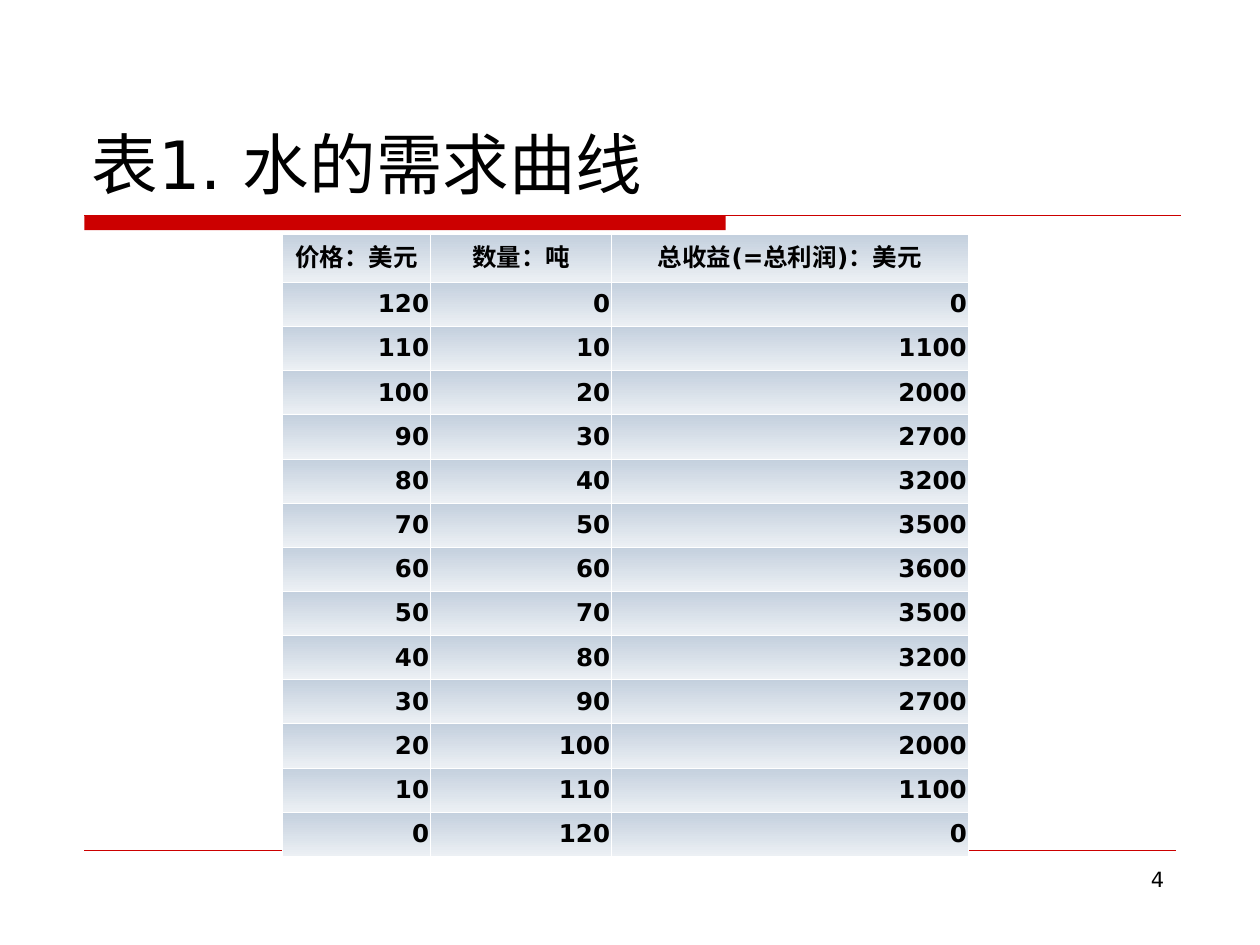
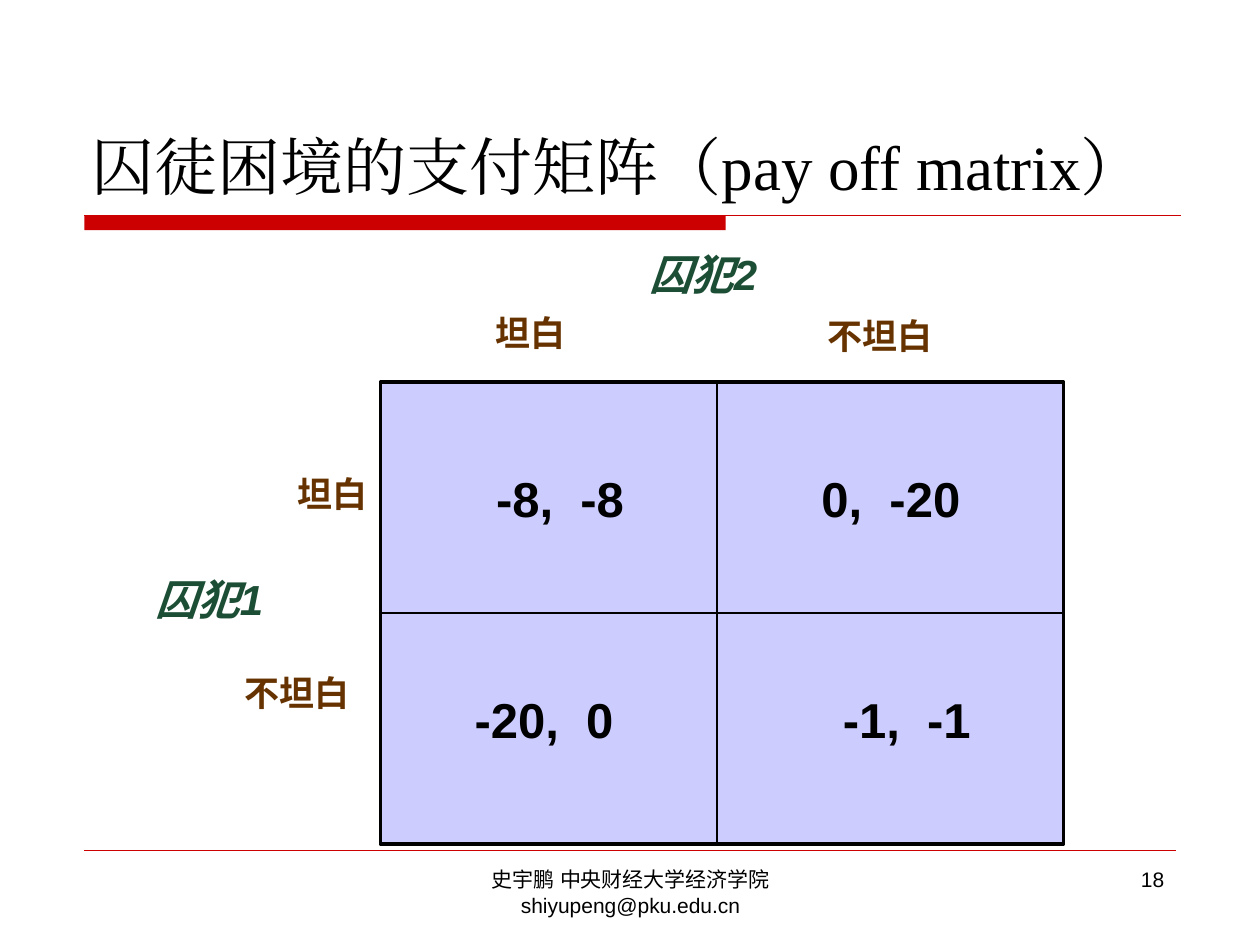
from lxml.etree import SubElement
from pptx import Presentation
from pptx.dml.color import RGBColor
from pptx.enum.shapes import MSO_CONNECTOR as Connector, MSO_SHAPE as Shape
from pptx.enum.text import MSO_ANCHOR as Anchor, PP_ALIGN as Align
from pptx.oxml import parse_xml
from pptx.oxml.ns import nsdecls, qn
from pptx.util import Cm, Pt

# Content
DEMAND = {
    "title": "表1. 水的需求曲线",
    "page": 4,
    "font": "DejaVu Sans",
    "title_size": 38,
    "header": ["价格：美元", "数量：吨", "总收益(=总利润)：美元"],
    "prices": range(120, -1, -10),
    "top_price": 120,
}
PRISONERS = {
    "title": "囚徒困境的支付矩阵（pay off matrix）",
    "page": 18,
    "font": "Times New Roman",
    "title_size": 36,
    "footer": "史宇鹏 中央财经大学经济学院 shiyupeng@pku.edu.cn",
    # text, left, top
    "players": [("囚犯1", 1.47, 11.43), ("囚犯2", 11.43, 4.88)],
    # text, left, top, width
    "choices": [
        ("坦白", 9.73, 6.15, 1.93),
        ("不坦白", 16.43, 6.22, 2.62),
        ("坦白", 5.74, 9.4, 1.93),
        ("不坦白", 4.67, 13.41, 2.62),
    ],
    # payoff of each player, left, top
    "payoffs": [
        (-8, -8, 9.75, 9.32),
        (0, -20, 16.31, 9.32),
        (-20, 0, 9.32, 13.77),
        (-1, -1, 16.74, 13.77),
    ],
}

# Style and layout, lengths in cm
COLORS = {
    "red": "CC0000",
    "black": "000000",
    "white": "FFFFFF",
    "cell_top": "C4D0DE",
    "cell_bottom": "ECF0F4",
    "matrix": "CCCCFF",
    "choice": "663300",
    "player": "1C4E35",
}
TITLE_BOX = (1.6, 0.84, 22.23, 3.38)
FOOTER_BOX = (8.69, 17.35, 8.05, 1.32)
PAGE_BOX = (18.21, 17.35, 5.51, 1.32)
BAR = (1.7, 4.34, 12.93, 0.3)
TABLE_LEFT, TABLE_TOP = 5.7, 4.73
COLUMN_WIDTHS = [2.98, 3.65, 7.19]
HEADER_HEIGHT, ROW_HEIGHT = 0.96, 0.89
MATRIX = (7.67, 7.7, 13.77, 9.32)
MATRIX_SPLIT = 14.45
PAYOFF_GAP = 7.8  # extra points after the space between two payoffs


def color(name):
    return RGBColor.from_string(COLORS[name])


def write(frame, text, *, font="Arial", size=12, ink="black", bold=False,
          italic=False, align=Align.LEFT, anchor=Anchor.TOP, wrap=True):
    """Write a string, or a list of (string, letter spacing) runs."""
    frame.word_wrap = wrap
    frame.vertical_anchor = anchor
    paragraph = frame.paragraphs[0]
    paragraph.alignment = align
    for words, spacing in [(text, 0)] if isinstance(text, str) else text:
        run = paragraph.add_run()
        run.text = words
        run.font.name, run.font.size = font, Pt(size)
        run.font.bold, run.font.italic = bold, italic
        run.font.color.rgb = color(ink)
        properties = run.font._element
        SubElement(properties, qn("a:ea"), typeface=font)
        if spacing:
            properties.set("spc", str(round(spacing * 100)))


def add_text(slide, box, text, **style):
    write(slide.shapes.add_textbox(*map(Cm, box)).text_frame, text, **style)


def add_line(slide, x1, y1, x2, y2, ink, width):
    line = slide.shapes.add_connector(Connector.STRAIGHT, *map(Cm, (x1, y1, x2, y2)))
    line.line.color.rgb = color(ink)
    line.line.width = Pt(width)
    SubElement(line._element.spPr, qn("a:effectLst"))


def add_rectangle(slide, box, fill, outline=None, width=0):
    rectangle = slide.shapes.add_shape(Shape.RECTANGLE, *map(Cm, box))
    rectangle.shadow.inherit = False
    rectangle.fill.solid()
    rectangle.fill.fore_color.rgb = color(fill)
    if outline:
        rectangle.line.color.rgb = color(outline)
        rectangle.line.width = Pt(width)
    else:
        rectangle.line.fill.background()


def add_base_slide(deck, content, page_font):
    """Title, red bands and page number that every slide shares."""
    slide = deck.slides.add_slide(deck.slide_layouts[6])
    add_rectangle(slide, BAR, "red")
    add_line(slide, 1.7, 4.34, 23.8, 4.34, "red", 0.75)
    add_line(slide, 1.7, 17.15, 23.7, 17.15, "red", 0.25)
    add_text(slide, TITLE_BOX, content["title"], font=content["font"],
             size=content["title_size"], anchor=Anchor.BOTTOM)
    add_text(slide, PAGE_BOX, str(content["page"]), font=page_font, align=Align.RIGHT)
    return slide


def style_cell(cell):
    cell.margin_left = cell.margin_right = Cm(0.03)
    cell.margin_top = cell.margin_bottom = Cm(0.13)
    cell.fill.gradient()
    cell.fill.gradient_angle = 270
    for stop, name in zip(cell.fill.gradient_stops, ("cell_top", "cell_bottom")):
        stop.color.rgb = color(name)
    properties = cell._tc.get_or_add_tcPr()
    for place, side in enumerate(("lnL", "lnR", "lnT", "lnB")):
        properties.insert(place, parse_xml(
            f'<a:{side} {nsdecls("a")} w="{Pt(0.45)}"><a:solidFill>'
            f'<a:srgbClr val="{COLORS["white"]}"/></a:solidFill></a:{side}>'))


def add_demand_slide(deck):
    slide = add_base_slide(deck, DEMAND, DEMAND["font"])
    rows = [DEMAND["header"]]
    for price in DEMAND["prices"]:
        quantity = DEMAND["top_price"] - price
        rows.append([price, quantity, price * quantity])

    heights = [HEADER_HEIGHT] + [ROW_HEIGHT] * (len(rows) - 1)
    box = (TABLE_LEFT, TABLE_TOP, sum(COLUMN_WIDTHS), sum(heights))
    table = slide.shapes.add_table(len(rows), len(COLUMN_WIDTHS), *map(Cm, box)).table
    for column, width in zip(table.columns, COLUMN_WIDTHS):
        column.width = Cm(width)
    for r, (values, height) in enumerate(zip(rows, heights)):
        table.rows[r].height = Cm(height)
        for c, value in enumerate(values):
            cell = table.cell(r, c)
            style_cell(cell)
            write(cell.text_frame, str(value), font=DEMAND["font"], size=14, bold=True,
                  align=Align.RIGHT if r else Align.CENTER)
            cell.vertical_anchor = Anchor.MIDDLE


def add_prisoners_slide(deck):
    slide = add_base_slide(deck, PRISONERS, "Arial")
    add_text(slide, FOOTER_BOX, PRISONERS["footer"], align=Align.CENTER)

    # Payoff matrix
    left, top, width, height = MATRIX
    middle = top + height / 2
    add_rectangle(slide, MATRIX, "matrix", "black", 2)
    add_line(slide, left, middle, left + width, middle, "black", 1)
    add_line(slide, MATRIX_SPLIT, top, MATRIX_SPLIT, top + height, "black", 1)

    # Labels and payoffs
    for choice, x, y, label_width in PRISONERS["choices"]:
        add_text(slide, (x, y, label_width, 1.1), choice, size=20, ink="choice",
                 bold=True, align=Align.CENTER, wrap=False)
    for first, second, x, y in PRISONERS["payoffs"]:
        pair = [(f"{first},", 0), (" ", PAYOFF_GAP), (str(second), 0)]
        add_text(slide, (x, y, 3.3, 1.42), pair, size=28, bold=True)
    for player, x, y in PRISONERS["players"]:
        add_text(slide, (x, y, 5.51, 1.27), player, size=24, ink="player",
                 bold=True, italic=True, align=Align.CENTER)


def main():
    deck = Presentation()
    deck.slide_width, deck.slide_height = Cm(25.4), Cm(19.05)
    add_demand_slide(deck)
    add_prisoners_slide(deck)
    deck.save("out.pptx")


if __name__ == "__main__":
    main()
